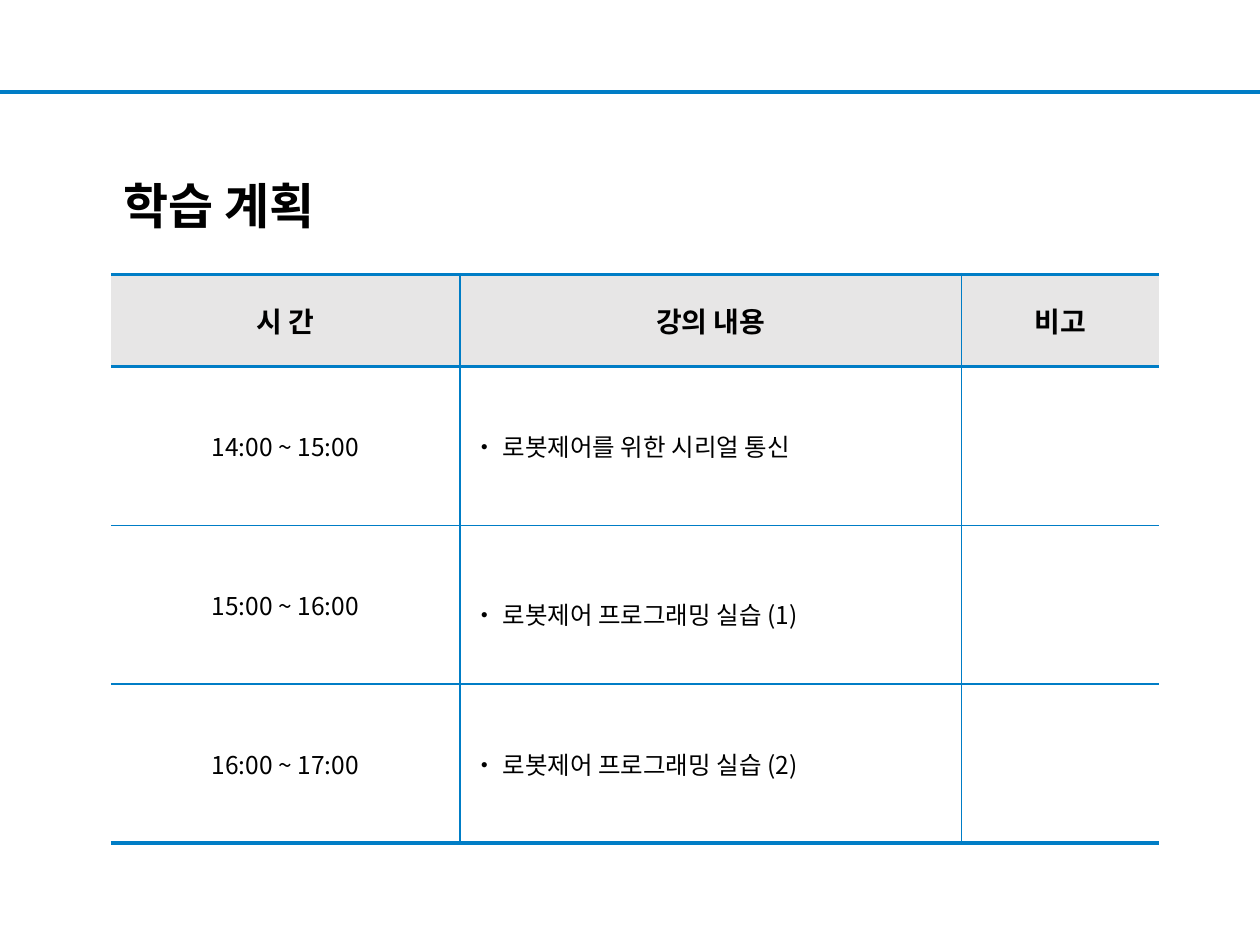
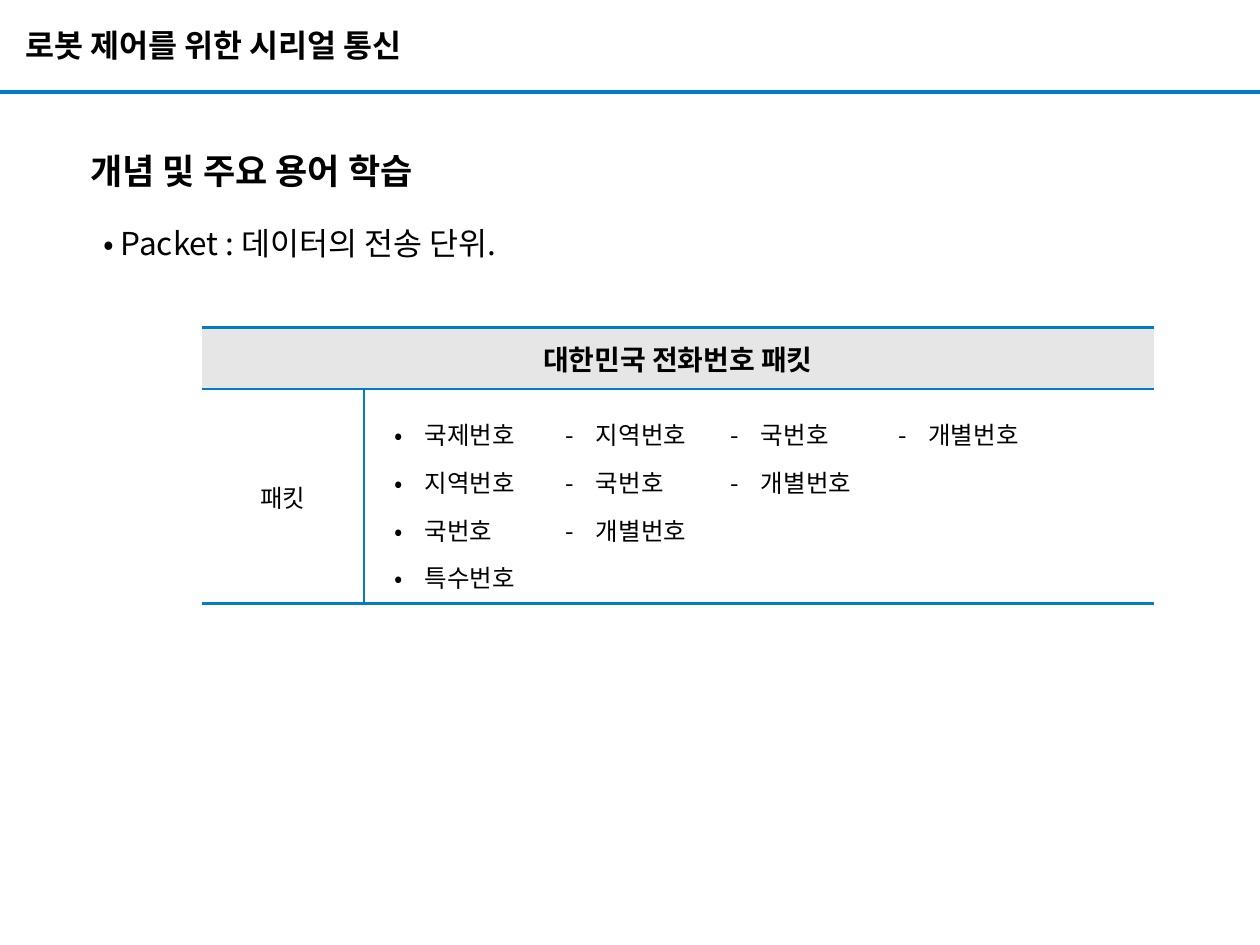
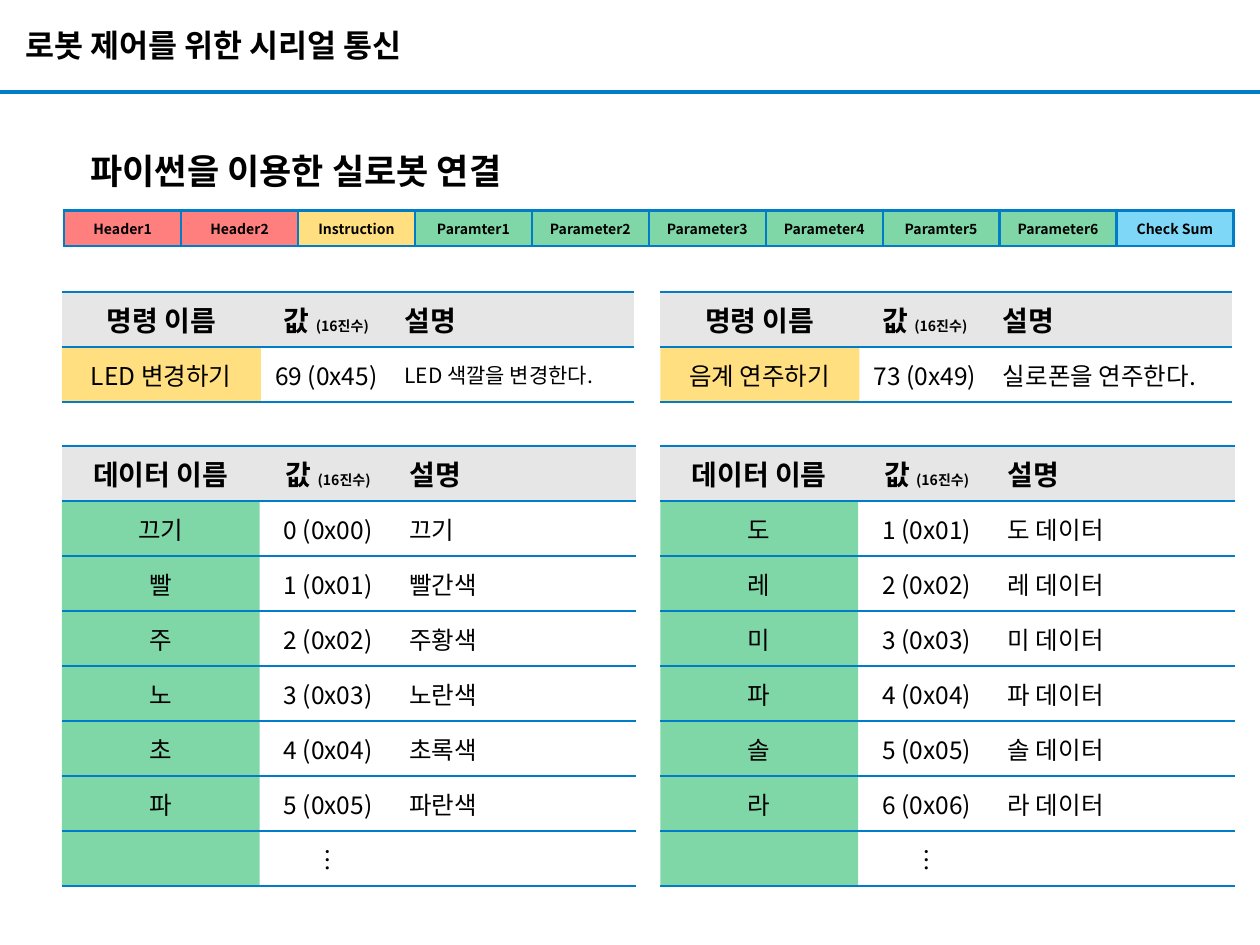
"""Build three lesson slides on serial communication for robot control."""
from lxml.etree import SubElement
from pptx import Presentation
from pptx.dml.color import RGBColor
from pptx.enum.shapes import MSO_CONNECTOR
from pptx.enum.text import MSO_ANCHOR, MSO_AUTO_SIZE, PP_ALIGN
from pptx.oxml.ns import qn
from pptx.util import Inches, Pt

FONT = "Noto Sans CJK KR"
COLORS = {
    "text": "000000", "line": "007DC6", "header": "E7E6E6", "white": "FFFFFF",
    "red": "FF0000", "amber": "FFC000", "green": "00B050", "blue": "00B0F0",
}
TINTS = ("red", "amber", "green", "blue")
ALIGNS = {"l": PP_ALIGN.LEFT, "c": PP_ALIGN.CENTER}
PLAIN_TABLE = "{2D5ABB26-0587-4C30-8999-92F81FD0307C}"
TOPIC = "로봇 제어를 위한 시리얼 통신"


def write(frame, text, note="", size=14, bold=False, align="l", spacing=None):
    para = frame.paragraphs[0]
    para.alignment = ALIGNS[align]
    if spacing:
        para.line_spacing = spacing
    for part, points in ((text, size), (note, 8)):
        if part:
            span = para.add_run()
            span.text = part
            span.font.size = Pt(points)
            span.font.bold = bold
            span.font.color.rgb = RGBColor.from_string(COLORS["text"])
            span.font.name = FONT
            SubElement(span.font._element, qn("a:ea"), typeface=FONT)
    if not text:
        SubElement(para._p, qn("a:endParaRPr"), sz=str(size * 100))


def add_grid(page, left, top, widths, heights, rows, aligns, lines=None,
             uprights=None, fills=None, header=True, size=14, bold=False):
    table = page.shapes.add_table(
        len(rows), len(widths), Inches(left), Inches(top),
        Inches(sum(widths)), Inches(sum(heights))).table
    table.first_row = table.horz_banding = False
    table._tbl.tblPr.find(qn("a:tableStyleId")).text = PLAIN_TABLE
    for column, width in zip(table.columns, widths):
        column.width = Inches(width)
    for row, height in zip(table.rows, heights):
        row.height = Inches(height)
    lines = lines or [0] * (len(rows) + 1)
    uprights = uprights or {}
    for r, values in enumerate(rows):
        is_header = header and r == 0
        for c, value in enumerate(values):
            cell = table.cell(r, c)
            cell.vertical_anchor = MSO_ANCHOR.MIDDLE
            joined = None in values
            edges = {
                "L": 0 if joined else uprights.get(c, 0),
                "R": 0 if joined else uprights.get(c + 1, 0),
                "T": lines[r], "B": lines[r + 1],
            }
            properties = cell._tc.get_or_add_tcPr()
            for side, points in edges.items():
                if points:
                    edge = SubElement(properties, qn(f"a:ln{side}"), w=str(Pt(points)))
                    paint = SubElement(edge, qn("a:solidFill"))
                    SubElement(paint, qn("a:srgbClr"), val=COLORS["line"])
            fill = "header" if is_header else fills[c] if fills else None
            if fill:
                cell.fill.solid()
                cell.fill.fore_color.rgb = RGBColor.from_string(COLORS[fill])
                if fill in TINTS:
                    SubElement(properties.find(qn("a:solidFill"))[0], qn("a:alpha"), val="50000")
            else:
                cell.fill.background()
            if value is None:
                table.cell(r, c - 1).merge(cell)
                continue
            text, note = value if isinstance(value, tuple) else (value, "")
            write(cell.text_frame, text, note, size=16 if is_header else size,
                  bold=bold or is_header, align=aligns[c])
    return table


deck = Presentation()
deck.slide_width, deck.slide_height = Inches(10), Inches(7.5)
plan, packet, robot = [deck.slides.add_slide(deck.slide_layouts[5]) for _ in range(3)]

rule = plan.shapes.add_connector(
    MSO_CONNECTOR.STRAIGHT, 0, Inches(0.73), Inches(10), Inches(0.73))
rule.line.color.rgb = RGBColor.from_string(COLORS["line"])
rule.line.width = Pt(2.25)
SubElement(rule._element.spPr, qn("a:effectLst"))
deck.slide_master.shapes._spTree.append(rule._element)

for page, text, place, size, spacing in (
        (plan, "학습 계획", (0.88, 1.34, 2.86, 0.57), 28, 1),
        (packet, TOPIC, (0.1, 0.17, 7.01, 0.41), 18, 0.9),
        (robot, TOPIC, (0.1, 0.17, 7.01, 0.41), 18, 0.9)):
    title = page.shapes.title
    title.left, title.top, title.width, title.height = map(Inches, place)
    title.text_frame.auto_size = MSO_AUTO_SIZE.NONE
    title.text_frame.vertical_anchor = MSO_ANCHOR.MIDDLE
    write(title.text_frame, text, size=size, bold=True, spacing=spacing)

for page, text, place, size, bold, wrap in (
        (packet, "개념 및 주요 용어 학습", (0.62, 1.14, 4.85, 0.44), 20, True, True),
        (packet, "• Packet : 데이터의 전송 단위.", (0.72, 1.73, 3.62, 0.4), 18, False, False),
        (robot, "파이썬을 이용한 실로봇 연결", (0.62, 1.14, 6.65, 0.44), 20, True, True)):
    box = page.shapes.add_textbox(*map(Inches, place))
    box.text_frame.word_wrap = wrap
    write(box.text_frame, text, size=size, bold=bold)

schedule = add_grid(
    plan, 0.88, 2.18, [2.77, 3.98, 1.57], [0.73] + [1.26] * 3,
    [["시 간", "강의 내용", "비고"],
     ["14:00 ~ 15:00", "• 로봇제어를 위한 시리얼 통신", ""],
     ["15:00 ~ 16:00", "• 로봇제어 프로그래밍 실습 (1)", ""],
     ["16:00 ~ 17:00", "• 로봇제어 프로그래밍 실습 (2)", ""]],
    "cll", lines=[2.25, 2.25, 1, 1, 2.25], uprights={1: 1})
for column in (1, 2):
    schedule.cell(0, column).text_frame.paragraphs[0].alignment = PP_ALIGN.CENTER
schedule.cell(2, 1).text_frame.paragraphs[0].line_spacing = 1.5

add_grid(packet, 1.6, 2.6, [1.29, 6.27], [0.49, 1.7],
         [["대한민국 전화번호 패킷", None], ["패킷", ""]],
         "cl", lines=[1.5] * 3, uprights={1: 1})

numbers = [
    ["국제번호", "지역번호", "국번호", "개별번호"],
    ["지역번호", "국번호", "개별번호"],
    ["국번호", "개별번호"],
    ["특수번호"],
]
number_rows = []
for parts in numbers:
    cells = ["•", parts[0]]
    for part in parts[1:]:
        cells += ["-", part]
    number_rows.append(cells + [""] * (8 - len(cells)))
add_grid(packet, 3.03, 3.25, [0.24, 1.12, 0.24, 1.07, 0.24, 1.09, 0.24, 0.99],
         [0.38] * 4, number_rows, "clllllll", fills=["white"] * 8, header=False)

value_head = ("값 ", "(16진수)")
sides = [
    (0.49, ["LED 변경하기", "69 (0x45)", "LED 색깔을 변경한다."], 0,
     {"끄기": "끄기", "빨": "빨간색", "주": "주황색", "노": "노란색", "초": "초록색", "파": "파란색"}),
    (5.24, ["음계 연주하기", "73 (0x49)", "실로폰을 연주한다."], 1,
     {note: f"{note} 데이터" for note in "도레미파솔라"}),
]
commands = []
for left, command, first, names in sides:
    commands.append(add_grid(
        robot, left, 2.32, [1.58, 1.04, 1.92], [0.87 / 2] * 2,
        [["명령 이름", value_head, "설명"], command],
        "ccl", lines=[1.5, 1.5, 1], fills=["amber", None, None]))
    data = [[name, f"{n} (0x{n:02X})", meaning]
            for n, (name, meaning) in enumerate(names.items(), first)]
    add_grid(robot, left, 3.54, [1.57, 1.09, 1.9], [3.49 / 8] * 8,
             [["데이터 이름", value_head, "설명"], *data, ["", "︙", ""]],
             "ccl", lines=[1.5, 1.5] + [1] * 6 + [1.5], fills=["green", None, None])
commands[0].cell(1, 2).text_frame.paragraphs[0].runs[0].font.size = Pt(12)

fields = ["Header1", "Header2", "Instruction", "Paramter1", "Parameter2",
          "Parameter3", "Parameter4", "Paramter5", "Parameter6", "Check Sum"]
add_grid(robot, 0.51, 1.67, [9.28 / 10] * 10, [0.28], [fields], "c" * 10,
         lines=[1.5, 1.5], uprights={edge: 1.5 for edge in range(11)},
         fills=["red"] * 2 + ["amber"] + ["green"] * 6 + ["blue"],
         header=False, size=8, bold=True)

deck.save("out.pptx")
